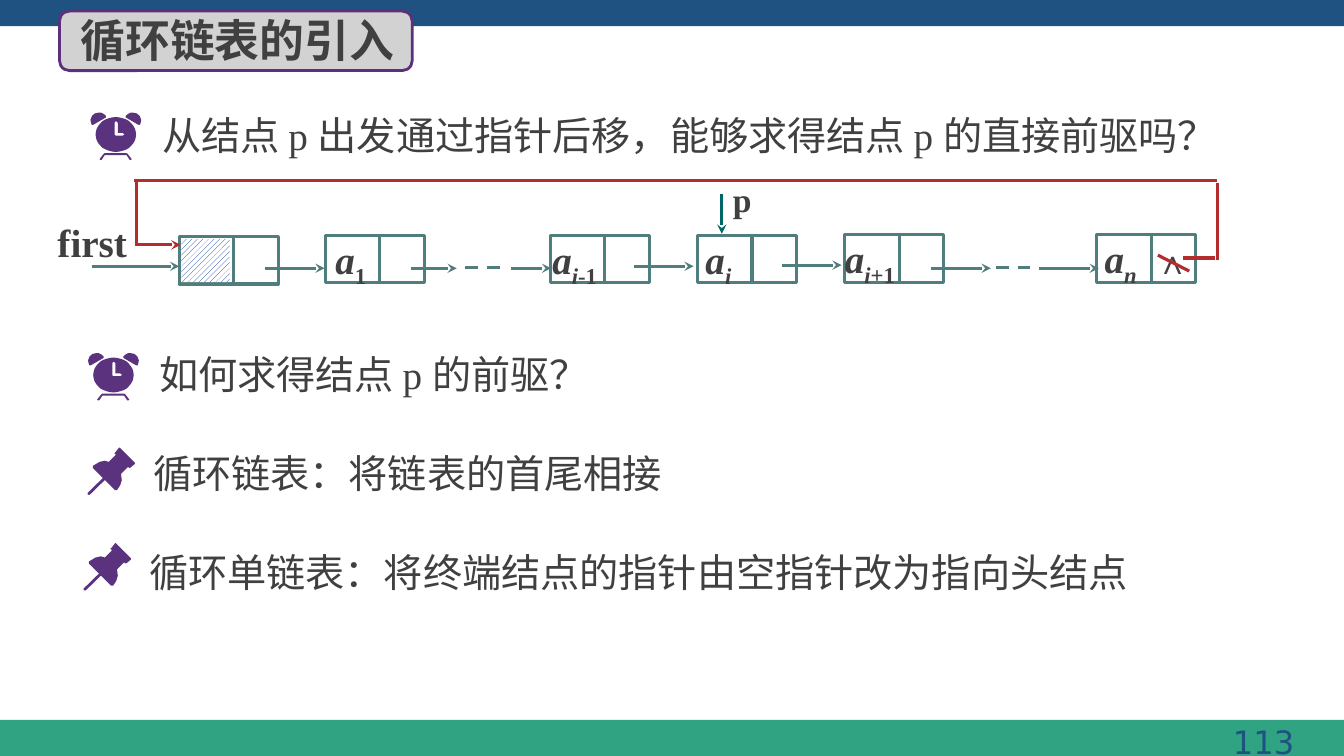
import math

from lxml import etree
from pptx import Presentation
from pptx.dml.color import RGBColor
from pptx.enum import dml, shapes, text
from pptx.oxml.ns import qn
from pptx.util import Cm, Pt

BLUE = RGBColor(0x1F, 0x52, 0x81)
GREEN = RGBColor(0x30, 0xA3, 0x83)
GRAY = RGBColor(0xD2, 0xD2, 0xD2)
INK = RGBColor(0x40, 0x40, 0x40)
PURPLE = RGBColor(0x5A, 0x32, 0x7D)
BORDER = RGBColor(0x5C, 0x30, 0x7D)
TEAL = RGBColor(0x50, 0x7D, 0x7D)
DARK_TEAL = RGBColor(0x00, 0x66, 0x66)
RED = RGBColor(0xB4, 0x2D, 0x2D)
NAVY = RGBColor(0x00, 0x33, 0x99)
WHITE = RGBColor(0xFF, 0xFF, 0xFF)

SERIF, SANS, CJK = "Times New Roman", "DejaVu Sans", "Noto Sans CJK SC"
RECT = shapes.MSO_SHAPE.RECTANGLE
ROUND = shapes.MSO_SHAPE.ROUNDED_RECTANGLE
NODE_W, NODE_H, DATA_W = 2.49, 1.19, 1.37

# Icon outlines, in tenths of a millimetre
CLOCK_W = 128
CLOCK_LEGS = [(104, 117), (94, 104), (91, 102), (36, 102), (33, 104), (23, 117),
              (25, 119), (28, 119), (36, 107), (91, 107), (99, 119), (102, 119)]
CLOCK_BELL = [(20, 0), (11, 2), (4, 8), (0, 18), (1, 24), (3, 30),
              (5, 31), (8, 30), (39, 12), (39, 8), (33, 3), (27, 0)]
CLOCK_FACE = [(64 + 51 * math.cos(math.radians(d)), 55 + 44 * math.sin(math.radians(d)))
              for d in range(0, 360, 10)]
CLOCK_HANDS = [(81, 58), (64, 58), (61, 56), (61, 25), (64, 21),
               (69, 25), (69, 51), (81, 51), (86, 55)]
PIN_HEAD = [(119, 38), (81, 0), (79, 0), (69, 13), (66, 14), (69, 15), (71, 18),
            (53, 36), (43, 33), (30, 36), (13, 46), (13, 51), (69, 107), (74, 107),
            (82, 95), (86, 82), (84, 66), (102, 48), (104, 51), (107, 51), (119, 41)]
PIN_NEEDLE = [(3, 119), (0, 118), (0, 114), (41, 74), (46, 74), (47, 77), (46, 79), (5, 119)]


class Deck:
    def __init__(self):
        self.prs = Presentation()
        self.prs.slide_width, self.prs.slide_height = Cm(33.87), Cm(19.05)
        self.s = self.prs.slides.add_slide(self.prs.slide_layouts[6])

    def box(self, x, y, w, h, fill=None, line=None, weight=2.25, kind=RECT):
        sp = self.s.shapes.add_shape(kind, Cm(x), Cm(y), Cm(w), Cm(h))
        sp.shadow.inherit = False
        if fill is None:
            sp.fill.background()
        else:
            sp.fill.solid()
            sp.fill.fore_color.rgb = fill
        if line is None:
            sp.line.fill.background()
        else:
            sp.line.color.rgb = line
            sp.line.width = Pt(weight)
        return sp

    def put_text(self, sp, runs, size, color=INK, font=SERIF, bold=False,
                 align=text.PP_ALIGN.LEFT, insets=(0.25, 0.13, 0.25, 0.13), wrap=True):
        """Fill a shape with one paragraph; runs are (text, italic, subscript)."""
        tf = sp.text_frame
        tf.word_wrap = wrap
        tf.vertical_anchor = text.MSO_ANCHOR.TOP
        tf.margin_left, tf.margin_top, tf.margin_right, tf.margin_bottom = map(Cm, insets)
        p = tf.paragraphs[0]
        p.alignment = align
        p.font.size, p.font.bold, p.font.name = Pt(size), bold, font
        p.font.color.rgb = color
        etree.SubElement(p._p.pPr.find(qn("a:defRPr")), qn("a:ea"), typeface=CJK)
        for content, italic, sub in runs:
            r = p.add_run()
            r.text = content
            if italic:
                r.font.italic = True
            if sub:
                r._r.get_or_add_rPr().set("baseline", "-25000")
        return p

    def label(self, x, y, w, h, content, size, **style):
        sp = self.s.shapes.add_textbox(Cm(x), Cm(y), Cm(w), Cm(h))
        self.put_text(sp, [(content, False, False)], size, **style)

    def line(self, x1, y1, x2, y2, color=TEAL, arrow=False, dash=False):
        c = self.s.shapes.add_connector(shapes.MSO_CONNECTOR.STRAIGHT,
                                        Cm(x1), Cm(y1), Cm(x2), Cm(y2))
        c.line.color.rgb = color
        c.line.width = Pt(2.25)
        if dash:
            c.line.dash_style = dml.MSO_LINE.DASH
        sp_pr = c._element.spPr
        if arrow:
            etree.SubElement(sp_pr.find(qn("a:ln")), qn("a:tailEnd"), type="stealth")
        etree.SubElement(sp_pr, qn("a:effectLst"))

    def outline(self, x, y, *contours):
        """Draw one filled shape; contours after the first are holes."""
        fb = self.s.shapes.build_freeform(*contours[0][0], scale=Cm(0.01))
        fb.add_line_segments(contours[0][1:])
        for hole in contours[1:]:
            fb.move_to(*hole[0])
            fb.add_line_segments(hole[1:])
        sp = fb.convert_to_shape(Cm(x), Cm(y))
        sp.shadow.inherit = False
        sp.fill.solid()
        sp.fill.fore_color.rgb = PURPLE
        sp.line.fill.background()

    def clock(self, x, y):
        right_bell = [(CLOCK_W - px, py) for px, py in CLOCK_BELL]
        for part in (CLOCK_LEGS, CLOCK_BELL, right_bell):
            self.outline(x, y, part)
        self.outline(x, y, CLOCK_FACE, CLOCK_HANDS)

    def pin(self, x, y):
        self.outline(x, y, PIN_HEAD)
        self.outline(x, y, PIN_NEEDLE)

    def node(self, x, y, inset=0, subscript=()):
        """Draw a list node: a data cell and a pointer cell."""
        sp = self.box(x, y, NODE_W, NODE_H, line=TEAL)
        if subscript:
            runs = [("a", True, False)] + [(t, italic, True) for t, italic in subscript]
            p = self.put_text(sp, runs, 28, bold=True, insets=(inset, 0, 0, 0.2))
            p.line_spacing = 0.9
        self.line(x + DATA_W, y, x + DATA_W, y + NODE_H)


def main():
    d = Deck()
    d.box(0, 18.14, 33.87, 0.91, fill=GREEN)
    d.box(0, 0, 33.87, 0.66, fill=BLUE)
    d.label(25.48, 18.06, 7.47, 1.32, "113", 23, color=BLUE, font=SANS,
            align=text.PP_ALIGN.RIGHT, insets=(0.33, 0.15, 0.33, 0.15))
    d.box(1.5, 0.28, 8.89, 1.5, fill=GRAY, line=BORDER, weight=2, kind=ROUND)
    d.label(1.78, 0.18, 8.61, 1.63, "循环链表的引入", 32, font=CJK, bold=True)

    for icon, ix, iy, x, y, content in [
        (d.clock, 2.28, 2.84, 3.84, 2.67, "从结点 p 出发通过指针后移，能够求得结点 p 的直接前驱吗？"),
        (d.clock, 2.22, 8.9, 3.76, 8.71, "如何求得结点 p 的前驱？"),
        (d.pin, 2.21, 11.28, 3.61, 11.18, "循环链表：将链表的首尾相接"),
        (d.pin, 2.11, 13.69, 3.51, 13.69, "循环单链表：将终端结点的指针由空指针改为指向头结点"),
    ]:
        d.label(x, y, 32.15 - x, 1.45, content, 28)
        icon(ix, iy)

    d.label(1.45, 5.49, 2.11, 1.3, "first", 28, bold=True, insets=(0, 0, 0, 0.1), wrap=False)
    for x, y, inset, subscript in [
        (4.52, 5.97, 0, ()),
        (8.2, 5.94, 0.25, [("1", False)]),
        (13.87, 5.94, 0.05, [("i", True), ("-1", False)]),
        (17.58, 5.94, 0.2, [("i", True)]),
        (21.29, 5.92, 0, [("i", True), ("+1", False)]),
        (27.64, 5.92, 0.2, [("n", True)]),
    ]:
        d.node(x, y, inset, subscript)
    hatch = d.box(4.57, 6.02, 1.22, 1.09)
    hatch.fill.patterned()
    hatch.fill.pattern = dml.MSO_PATTERN.WIDE_UPWARD_DIAGONAL
    hatch.fill.fore_color.rgb, hatch.fill.back_color.rgb = NAVY, WHITE
    d.label(28.88, 5.94, 1.24, 1.27, "∧", 24, bold=True)

    for x1, x2, y in [(2.31, 4.52, 6.71), (6.68, 8.18, 6.76), (10.36, 11.51, 6.76),
                      (12.88, 13.89, 6.76), (15.98, 17.48, 6.71), (19.71, 21.21, 6.68),
                      (23.47, 24.97, 6.76), (26.19, 27.69, 6.76)]:
        d.line(x1, y, x2, y, arrow=True)
    for x in (11.73, 25.1):
        d.line(x, 6.73, x + 0.89, 6.73, dash=True)

    d.line(18.19, 4.88, 18.19, 5.89, color=DARK_TEAL, arrow=True)
    d.label(18.47, 4.5, 0.69, 1.02, "p", 24, bold=True, insets=(0, 0, 0, 0))

    for ends in [(30.63, 6.5, 29.82, 6.5), (30.68, 4.6, 30.68, 6.55),
                 (3.38, 4.55, 30.68, 4.55), (3.43, 4.5, 3.43, 6.2),
                 (29.97, 6.83, 29.18, 6.43)]:
        d.line(*ends, color=RED)
    d.line(3.43, 6.17, 4.55, 6.17, color=RED, arrow=True)
    d.prs.save("out.pptx")


if __name__ == "__main__":
    main()
